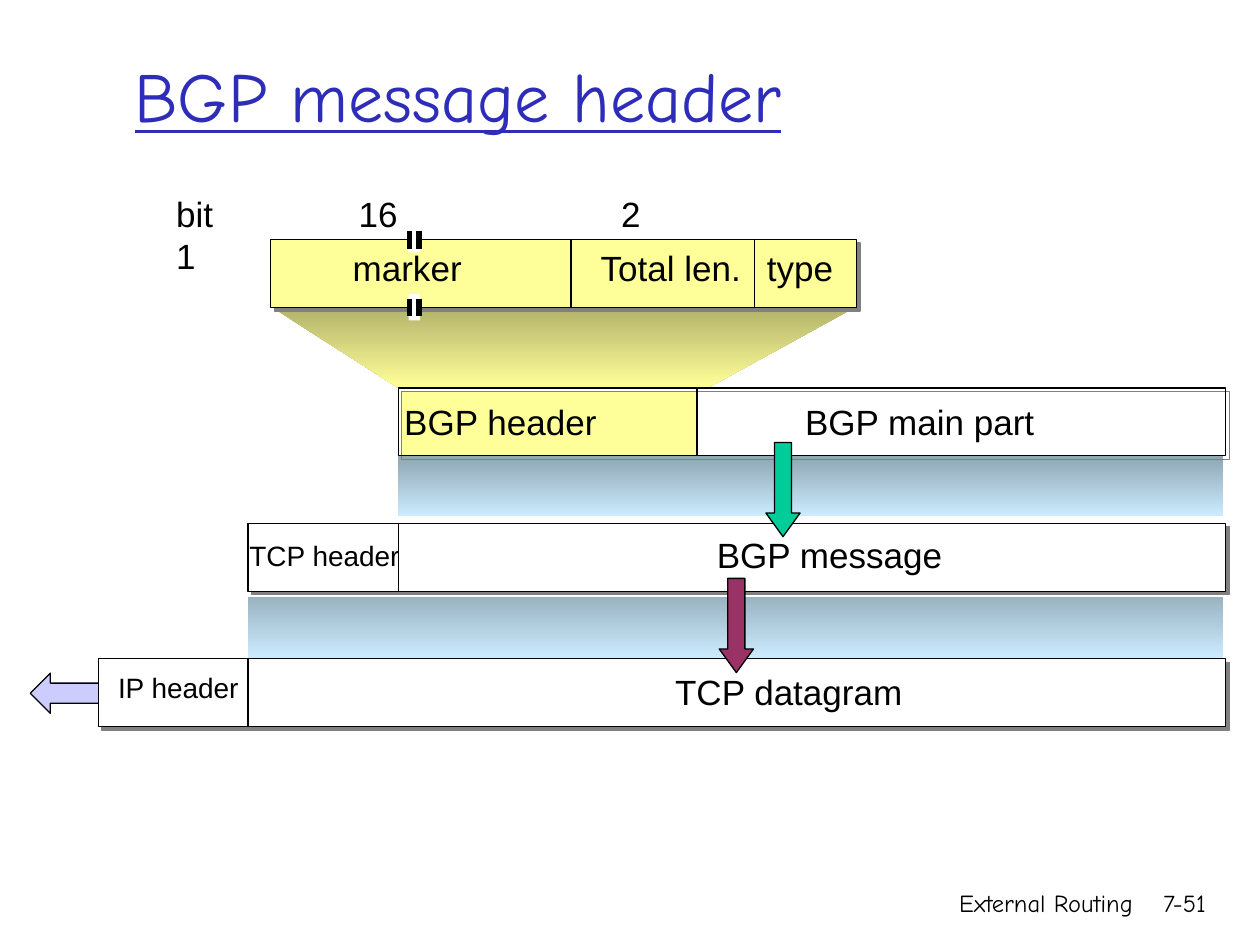
from dataclasses import dataclass

from lxml.etree import SubElement
from pptx import Presentation
from pptx.dml.color import RGBColor
from pptx.enum.shapes import MSO_CONNECTOR, MSO_SHAPE
from pptx.enum.text import MSO_ANCHOR, MSO_AUTO_SIZE, PP_ALIGN
from pptx.oxml.ns import qn
from pptx.util import Cm, Pt


@dataclass(frozen=True)
class Theme:
    title_font: str = "Comic Neue"
    body_font: str = "Arial"
    title_size: int = 40
    label_size: int = 20
    small_size: int = 16
    footer_size: int = 14
    title: str = "2D2DB9"
    ink: str = "000000"
    paper: str = "FFFFFF"
    header: str = "FFFF99"
    shadow: str = "808080"
    funnel: tuple = ("B2B26B", "FFFF99")
    upper_band: tuple = ("8EA5B2", "CCECFF")
    lower_band: tuple = ("9AB3C1", "CCECFF")
    out_arrow: str = "CCCCFF"
    message_arrow: str = "00CC99"
    datagram_arrow: str = "993366"


THEME = Theme()

# Geometry in centimetres
ROW_HEIGHT, FIELD_TOP, FIELD_RIGHT = 1.37, 4.83, 17.27
PACKET_TOP, PACKET_PITCH, RIGHT = 7.82, 2.73, 24.71
BGP_TOP, TCP_TOP, IP_TOP = (PACKET_TOP + PACKET_PITCH * i for i in range(3))
FIELD_LEFT, BGP_LEFT, TCP_LEFT, IP_LEFT = 5.46, 8.03, 5.0, 1.98
BGP_SPLIT, BREAK_X = 14.05, 8.35

# Rows: left, top, right, fill, dividers
ROWS = [
    (BGP_LEFT, BGP_TOP, RIGHT, None, [BGP_SPLIT]),
    (FIELD_LEFT, FIELD_TOP, FIELD_RIGHT, THEME.header, [11.51, 15.21]),
    (TCP_LEFT, TCP_TOP, RIGHT, THEME.paper, [BGP_LEFT]),
    (IP_LEFT, IP_TOP, RIGHT, THEME.paper, [TCP_LEFT]),
]
# Shaded bands: left, top, colours
BANDS = [
    (TCP_LEFT, 12.04, THEME.lower_band),
    (BGP_LEFT, 9.17, THEME.upper_band),
]
FUNNEL = [(FIELD_LEFT, 6.18), (FIELD_RIGHT, 6.18), (14.27, BGP_TOP), (BGP_LEFT, BGP_TOP)]
# Down arrows: left, top, head ratio, fill
ARROWS = [
    (15.44, 8.92, 0.69, THEME.message_arrow),
    (14.5, 11.66, 0.69, THEME.datagram_arrow),
]
# Labels: text, left, top, width, size
LABELS = [
    ("marker", 6.86, 4.85, 2.72, THEME.label_size),
    ("Total len.", 11.86, 4.85, 3.35, THEME.label_size),
    ("type", 15.21, 4.85, 1.85, THEME.label_size),
    ("BGP header", 7.9, 7.95, 4.42, THEME.label_size),
    ("BGP main part", 15.98, 7.95, 5.16, THEME.label_size),
    ("TCP header", 4.78, 10.74, 3.56, THEME.small_size),
    ("BGP message", 14.2, 10.64, 5.08, THEME.label_size),
    ("IP header", 2.13, 13.39, 2.97, THEME.small_size),
    ("TCP datagram", 13.36, 13.39, 5.13, THEME.label_size),
]
SCALE_LINES = ["bit\t16\t2", "1"]
SCALE_TABS = [3.68, 8.97]
# Footer: text, left, width
FOOTER = [("External Routing", 15.04, 8.05), ("7-51", 22.68, 1.88)]


def colour(value):
    return RGBColor.from_string(value)


def add_span(para, text, size, font=THEME.body_font, ink=THEME.ink):
    span = para.add_run()
    span.text = text
    span.font.size, span.font.name = Pt(size), font
    span.font.color.rgb = colour(ink)
    return span


def paint(shape, fill, outlined=False):
    shape.shadow.inherit = False
    if fill is None:
        shape.fill.background()
    elif isinstance(fill, tuple):
        shape.fill.gradient()
        shape.fill.gradient_angle = 270
        for stop, value in zip(shape.fill.gradient_stops, fill):
            stop.color.rgb = colour(value)
    else:
        shape.fill.solid()
        shape.fill.fore_color.rgb = colour(fill)
    if outlined:
        shape.line.color.rgb = colour(THEME.ink)
        shape.line.width = Pt(0.75)
    else:
        shape.line.fill.background()


def add_block(page, kind, left, top, width, height, fill, outlined=False):
    shape = page.shapes.add_shape(kind, Cm(left), Cm(top), Cm(width), Cm(height))
    paint(shape, fill, outlined)
    return shape


def add_drop_shadow(shape):
    effects = shape.element.spPr.find(qn("a:effectLst"))
    shadow = SubElement(effects, qn("a:outerShdw"), blurRad="0", dist=str(Pt(2.8)),
                        dir="2700000", algn="ctr", rotWithShape="0")
    SubElement(shadow, qn("a:srgbClr"), val=THEME.shadow)


def add_upright(page, x, top, bottom, weight):
    line = page.shapes.add_connector(MSO_CONNECTOR.STRAIGHT, Cm(x), Cm(top), Cm(x), Cm(bottom))
    line.line.color.rgb = colour(THEME.ink)
    line.line.width = Pt(weight)
    SubElement(line.element.spPr, qn("a:effectLst"))


def add_box(page, left, top, width, height, wrap=True):
    box = page.shapes.add_textbox(Cm(left), Cm(top), Cm(width), Cm(height))
    box.text_frame.word_wrap = wrap
    return box.text_frame


def main():
    deck = Presentation()
    deck.slide_width, deck.slide_height = Cm(25.4), Cm(19.05)
    page = deck.slides.add_slide(deck.slide_layouts[5])

    # Title
    title = page.shapes.title
    title.left, title.top, title.width, title.height = Cm(2.46), Cm(0.64), Cm(20.7), Cm(2.54)
    title.text_frame.vertical_anchor = MSO_ANCHOR.MIDDLE
    para = title.text_frame.paragraphs[0]
    para.alignment = PP_ALIGN.LEFT
    add_span(para, "BGP message header", THEME.title_size,
             THEME.title_font, THEME.title).font.underline = True

    # Header fill, bands and funnel behind the rows
    add_block(page, MSO_SHAPE.RECTANGLE, BGP_LEFT + 0.05, BGP_TOP + 0.08,
              BGP_SPLIT - BGP_LEFT - 0.05, ROW_HEIGHT - 0.08, THEME.header)
    for left, top, colours in BANDS:
        add_block(page, MSO_SHAPE.RECTANGLE, left, top, RIGHT - 0.05 - left, 1.24, colours)
    outline = page.shapes.build_freeform(*(Cm(v) for v in FUNNEL[0]))
    outline.add_line_segments([(Cm(x), Cm(y)) for x, y in FUNNEL[1:]], close=True)
    paint(outline.convert_to_shape(), THEME.funnel)
    out_arrow = add_block(page, MSO_SHAPE.DOWN_ARROW, 1.02, 13.16, 0.81, 1.63,
                          THEME.out_arrow, True)
    out_arrow.rotation = 90

    # Rows and their dividers
    for left, top, right, fill, dividers in ROWS:
        row = add_block(page, MSO_SHAPE.RECTANGLE, left, top, right - left, ROW_HEIGHT, fill, True)
        add_drop_shadow(row)
        for x in dividers:
            add_upright(page, x, top, top + ROW_HEIGHT, 0.75)

    # Break marks on both edges of the marker field
    for y in (FIELD_TOP, FIELD_TOP + ROW_HEIGHT):
        add_block(page, MSO_SHAPE.RECTANGLE, BREAK_X - 0.11, y - 0.27, 0.23, 0.53, THEME.paper)
        for x in (BREAK_X - 0.1, BREAK_X + 0.1):
            add_upright(page, x, y - 0.18, y + 0.18, 3)

    # Arrows between the rows
    for left, top, head, fill in ARROWS:
        arrow = add_block(page, MSO_SHAPE.DOWN_ARROW, left, top, 0.69, 1.9, fill, True)
        arrow.adjustments[1] = head

    # Labels
    for text, left, top, width, size in LABELS:
        frame = add_box(page, left, top, width, 1.1 if size == THEME.label_size else 0.94, False)
        frame.auto_size = MSO_AUTO_SIZE.SHAPE_TO_FIT_TEXT
        add_span(frame.paragraphs[0], text, size)

    # Field sizes, aligned by tab stops
    para = add_box(page, 3.3, 3.76, 12.83, 1.96).paragraphs[0]
    add_span(para, SCALE_LINES[0], THEME.label_size)
    para.add_line_break()
    add_span(para, SCALE_LINES[1], THEME.label_size)
    tabs = SubElement(para._p.get_or_add_pPr(), qn("a:tabLst"))
    for stop in SCALE_TABS:
        SubElement(tabs, qn("a:tab"), pos=str(Cm(stop)), algn="l")

    # Footer
    for text, left, width in FOOTER:
        para = add_box(page, left, 17.78, width, 1.27).paragraphs[0]
        para.alignment = PP_ALIGN.RIGHT
        add_span(para, text, THEME.footer_size, THEME.title_font)

    deck.save("out.pptx")


if __name__ == "__main__":
    main()
